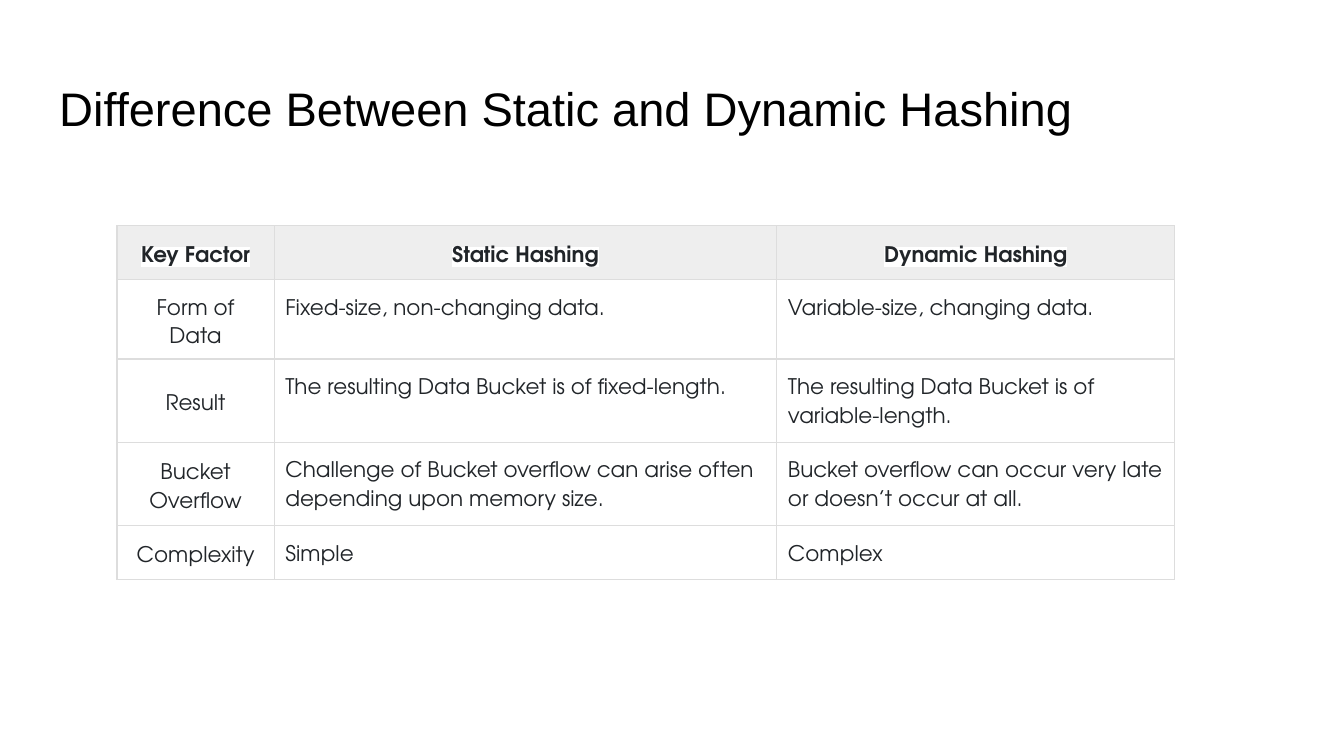
from lxml.etree import SubElement
from pptx import Presentation
from pptx.dml.color import RGBColor
from pptx.enum.text import MSO_ANCHOR, MSO_AUTO_SIZE, PP_ALIGN
from pptx.oxml.ns import qn
from pptx.util import Inches, Pt

COLORS = {
    "title": "000000",
    "text": "212529",
    "header": "EEEEEE",
    "body": "FFFFFF",
    "highlight": "FFFFFF",
    "border": "DDDDDD",
}
TITLE_FONT = "Arial"
TABLE_FONT = "TeX Gyre Adventor"

SLIDE_WIDTH = 10
CELL_MARGIN = Inches(1 / 12)
COLUMN_WIDTHS = [1.17, 3.74, 2.96]
ROW_HEIGHTS = [0.4, 0.4, 0.62, 0.62, 0.4]
ROWS = [
    ["Key Factor", "Static Hashing", "Dynamic Hashing"],
    ["Form of Data", "Fixed-size, non-changing data.", "Variable-size, changing data."],
    ["Result", "The resulting Data Bucket is of fixed-length.",
     "The resulting Data Bucket is of variable-length."],
    ["Bucket Overflow",
     "Challenge of Bucket overflow can arise often depending upon memory size.",
     "Bucket overflow can occur very late or doesn’t occur at all."],
    ["Complexity", "Simple", "Complex"],
]


def set_font(font, name, size, color, bold=False):
    font.name = name
    font.size = Pt(size)
    font.bold = bold
    font.color.rgb = RGBColor.from_string(COLORS[color])


def add_color(parent, color):
    SubElement(parent, qn("a:srgbClr"), val=COLORS[color])


def add_borders(cell):
    properties = cell._tc.get_or_add_tcPr()
    for position, side in enumerate(("lnL", "lnR", "lnT", "lnB")):
        line = SubElement(properties, qn(f"a:{side}"), w=str(Pt(0.75)))
        add_color(SubElement(line, qn("a:solidFill")), "border")
        # Borders come before the cell fill
        properties.insert(position, line)


def fill_cell(cell, text, is_header, is_centered):
    cell.fill.solid()
    fill_color = COLORS["header" if is_header else "body"]
    cell.fill.fore_color.rgb = RGBColor.from_string(fill_color)
    cell.margin_left = cell.margin_right = CELL_MARGIN
    cell.margin_top = cell.margin_bottom = CELL_MARGIN
    cell.vertical_anchor = MSO_ANCHOR.MIDDLE if is_centered else MSO_ANCHOR.TOP
    add_borders(cell)

    para = cell.text_frame.paragraphs[0]
    para.alignment = PP_ALIGN.CENTER if is_centered else PP_ALIGN.LEFT
    para.line_spacing = 1.43
    span = para.add_run()
    span.text = text
    set_font(para.font, TABLE_FONT, 11.5, "text", bold=is_header)
    add_color(SubElement(span._r.get_or_add_rPr(), qn("a:highlight")), "highlight")


def add_title(page, text):
    title = page.shapes.title
    title.left, title.top = Inches(0.34), Inches(0.49)
    title.width, title.height = Inches(9.32), Inches(0.63)
    frame = title.text_frame
    frame.text = text
    frame.word_wrap = True
    frame.auto_size = MSO_AUTO_SIZE.NONE
    frame.vertical_anchor = MSO_ANCHOR.MIDDLE
    frame.margin_left = frame.margin_right = Inches(0.1)
    frame.margin_top = frame.margin_bottom = Inches(0.1)
    para = frame.paragraphs[0]
    para.alignment = PP_ALIGN.LEFT
    set_font(para.font, TITLE_FONT, 25.2, "title")


def add_comparison_table(page):
    table = page.shapes.add_table(
        len(ROWS), len(COLUMN_WIDTHS), Inches(0.87), Inches(1.68),
        Inches(sum(COLUMN_WIDTHS)), Inches(sum(ROW_HEIGHTS))).table
    table.first_row = False
    table.horz_banding = False
    for column, width in zip(table.columns, COLUMN_WIDTHS):
        column.width = Inches(width)
    for row, height in zip(table.rows, ROW_HEIGHTS):
        row.height = Inches(height)

    # Header row and key factor column are centred
    for row_index, texts in enumerate(ROWS):
        for column_index, text in enumerate(texts):
            is_header = row_index == 0
            fill_cell(table.cell(row_index, column_index), text,
                      is_header, is_header or column_index == 0)


def main():
    deck = Presentation()
    # Widescreen 16:9 page
    deck.slide_width = Inches(SLIDE_WIDTH)
    deck.slide_height = Inches(SLIDE_WIDTH * 9 / 16)
    page = deck.slides.add_slide(deck.slide_layouts[5])
    add_title(page, "Difference Between Static and Dynamic Hashing")
    add_comparison_table(page)
    deck.save("out.pptx")


if __name__ == "__main__":
    main()
